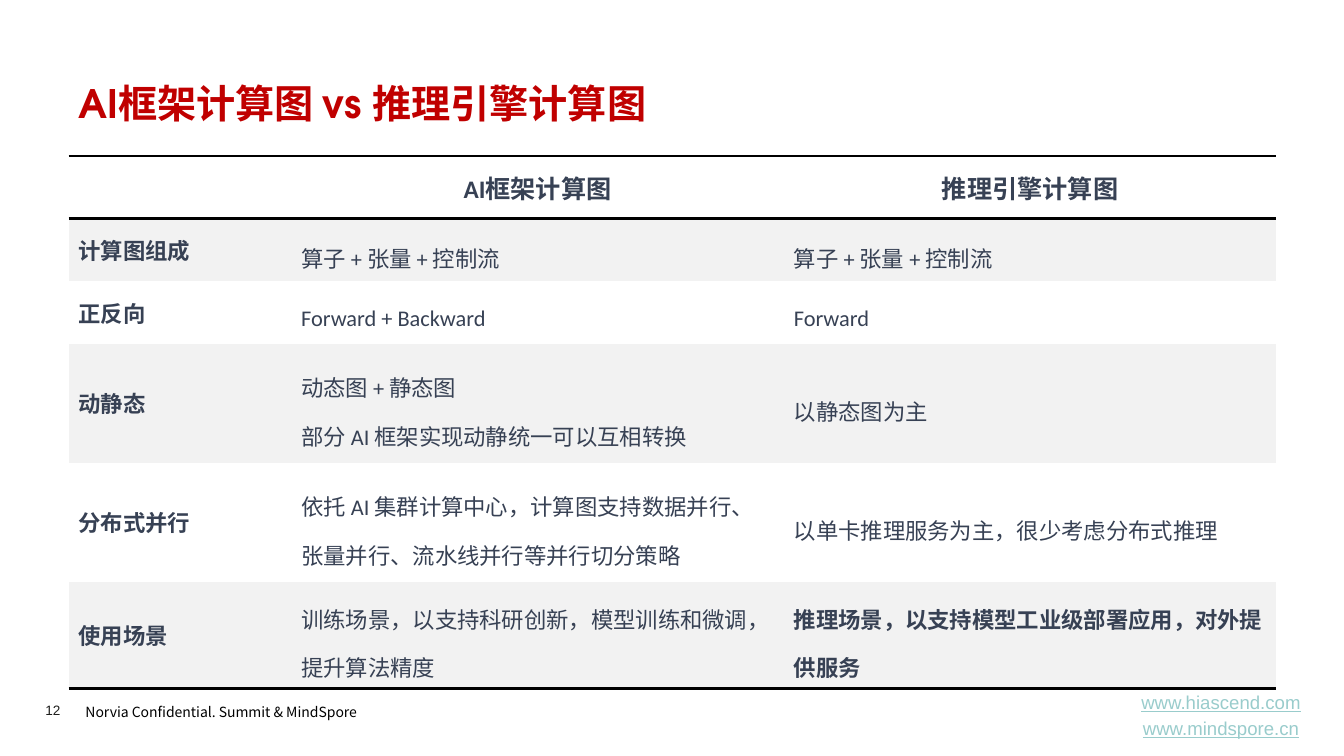
from lxml import etree
from pptx import Presentation
from pptx.dml.color import RGBColor
from pptx.enum.text import MSO_ANCHOR, MSO_AUTO_SIZE, PP_ALIGN
from pptx.oxml.ns import qn
from pptx.util import Inches, Pt

LEFT, CENTER = PP_ALIGN.LEFT, PP_ALIGN.CENTER
TOP, MIDDLE = MSO_ANCHOR.TOP, MSO_ANCHOR.MIDDLE
NO_AUTOFIT = MSO_AUTO_SIZE.NONE

RED = RGBColor(0xC0, 0x00, 0x00)
SLATE = RGBColor(0x37, 0x41, 0x54)
BLACK = RGBColor(0x00, 0x00, 0x00)
INK = RGBColor(0x1D, 0x1D, 0x1B)
TEAL = RGBColor(0x99, 0xCC, 0xCC)
WHITE = RGBColor(0xFF, 0xFF, 0xFF)
GRAY = RGBColor(0xF2, 0xF2, 0xF2)

CJK_FONT = "Noto Sans CJK SC"
PLAIN_TABLE = "{2D5ABB26-0587-4C30-8999-92F81FD0307C}"
GRID_COLUMNS, GRID_ROWS = 133.4, 75
TITLE_ONLY = 5

HEADINGS = ["", "AI框架计算图", "推理引擎计算图"]
COMPARISON = [
    ("计算图组成", "算子 + 张量 + 控制流", "算子 + 张量 + 控制流"),
    ("正反向", "Forward + Backward", "Forward"),
    ("动静态", "动态图 + 静态图\n部分 AI 框架实现动静统一可以互相转换", "以静态图为主"),
    ("分布式并行",
     "依托 AI 集群计算中心，计算图支持数据并行、张量并行、流水线并行等并行切分策略",
     "以单卡推理服务为主，很少考虑分布式推理"),
    ("使用场景",
     "训练场景，以支持科研创新，模型训练和微调，提升算法精度",
     "推理场景，以支持模型工业级部署应用，对外提供服务"),
]


def write(frame, text, size, color, font="Calibri", bold=False, underline=False,
          align=LEFT, line_spacing=1.0, gap=0):
    for index, line in enumerate(text.split("\n")):
        paragraph = frame.add_paragraph() if index else frame.paragraphs[0]
        paragraph.alignment = align
        paragraph.line_spacing = line_spacing
        paragraph.space_before = Pt(gap if index else 0)
        run = paragraph.add_run()
        run.text = line
        run.font.size = Pt(size)
        run.font.name = font
        run.font.bold = bold
        run.font.underline = underline
        run.font.color.rgb = color
        latin = run.font._element.find(qn("a:latin"))
        east_asian = etree.Element(qn("a:ea"), typeface=CJK_FONT)
        latin.addnext(east_asian)


class ComparisonSlide:
    def __init__(self, deck):
        self.column = deck.slide_width / GRID_COLUMNS
        self.row = deck.slide_height / GRID_ROWS
        self.slide = deck.slides.add_slide(deck.slide_layouts[TITLE_ONLY])

    def place(self, left, top, width, height):
        return (round(left * self.column), round(top * self.row),
                round(width * self.column), round(height * self.row))

    def title(self, text, *area):
        heading = self.slide.shapes.title
        heading.left, heading.top, heading.width, heading.height = self.place(*area)
        frame = heading.text_frame
        frame.auto_size = NO_AUTOFIT
        frame.vertical_anchor = TOP
        write(frame, text, 28, RED, font="TeX Gyre Adventor", bold=True)

    def label(self, text, *area, anchor=TOP, inset=True, **style):
        frame = self.slide.shapes.add_textbox(*self.place(*area)).text_frame
        frame.word_wrap = True
        frame.vertical_anchor = anchor
        if not inset:
            frame.margin_left = frame.margin_right = 0
            frame.margin_top = frame.margin_bottom = 0
        write(frame, text, **style)

    def rule(self, cell, *edges):
        for edge in edges:
            line = etree.SubElement(cell._tc.get_or_add_tcPr(), qn(f"a:{edge}"),
                                    w=str(Pt(2)))
            fill = etree.SubElement(line, qn("a:solidFill"))
            etree.SubElement(fill, qn("a:srgbClr"), val=str(BLACK))

    def cell(self, cell, text, fill, edges, **style):
        cell.vertical_anchor = MIDDLE
        self.rule(cell, *edges)
        cell.fill.solid()
        cell.fill.fore_color.rgb = fill
        if text:
            write(cell.text_frame, text, color=SLATE, **style)

    def table(self, left, top, widths, heights):
        frame = self.slide.shapes.add_table(
            len(heights), len(widths),
            *self.place(left, top, sum(widths), sum(heights)))
        table = frame.table
        table.first_row = table.horz_banding = False
        table._tbl.tblPr.find(qn("a:tableStyleId")).text = PLAIN_TABLE
        for column, width in zip(table.columns, widths):
            column.width = round(width * self.column)
        for row, height in zip(table.rows, heights):
            row.height = round(height * self.row)

        for column, heading in enumerate(HEADINGS):
            self.cell(table.cell(0, column), heading, WHITE, ("lnT", "lnB"),
                      size=18, bold=True, align=CENTER)
        last = len(COMPARISON)
        for row, aspects in enumerate(COMPARISON, 1):
            fill = GRAY if row % 2 else WHITE
            edges = ("lnB",) if row == last else ()
            for column, text in enumerate(aspects):
                emphasized = column == 0 or (row, column) == (last, 2)
                self.cell(table.cell(row, column), text, fill, edges, size=16,
                          bold=emphasized, line_spacing=1.5 if column else 1.0)


def main():
    deck = Presentation()
    deck.slide_width, deck.slide_height = Inches(13.34), Inches(7.5)
    page = ComparisonSlide(deck)
    page.title("AI框架计算图 vs 推理引擎计算图", 6.8, 7.4, 119.9, 6.4)
    page.table(6.8, 15.5, [22.1, 48.9, 48.9], [6.2, 6.2, 6.2, 11.8, 11.8, 8.9])
    page.label("Norvia Confidential. Summit & MindSpore", 7.5, 69, 31.3, 2.9,
               size=10, color=BLACK, font=CJK_FONT, line_spacing=1.2)
    page.label("12", 4.5, 69.6, 5.5, 1.6, inset=False,
               size=9.7, color=INK, font="Arial")
    page.label("www.hiascend.com\nwww.mindspore.cn", 110.4, 68.8, 21.6, 4.3,
               anchor=MIDDLE, size=13.3, color=TEAL, font="Arial",
               underline=True, align=CENTER, gap=2.7)
    deck.save("out.pptx")


if __name__ == "__main__":
    main()
